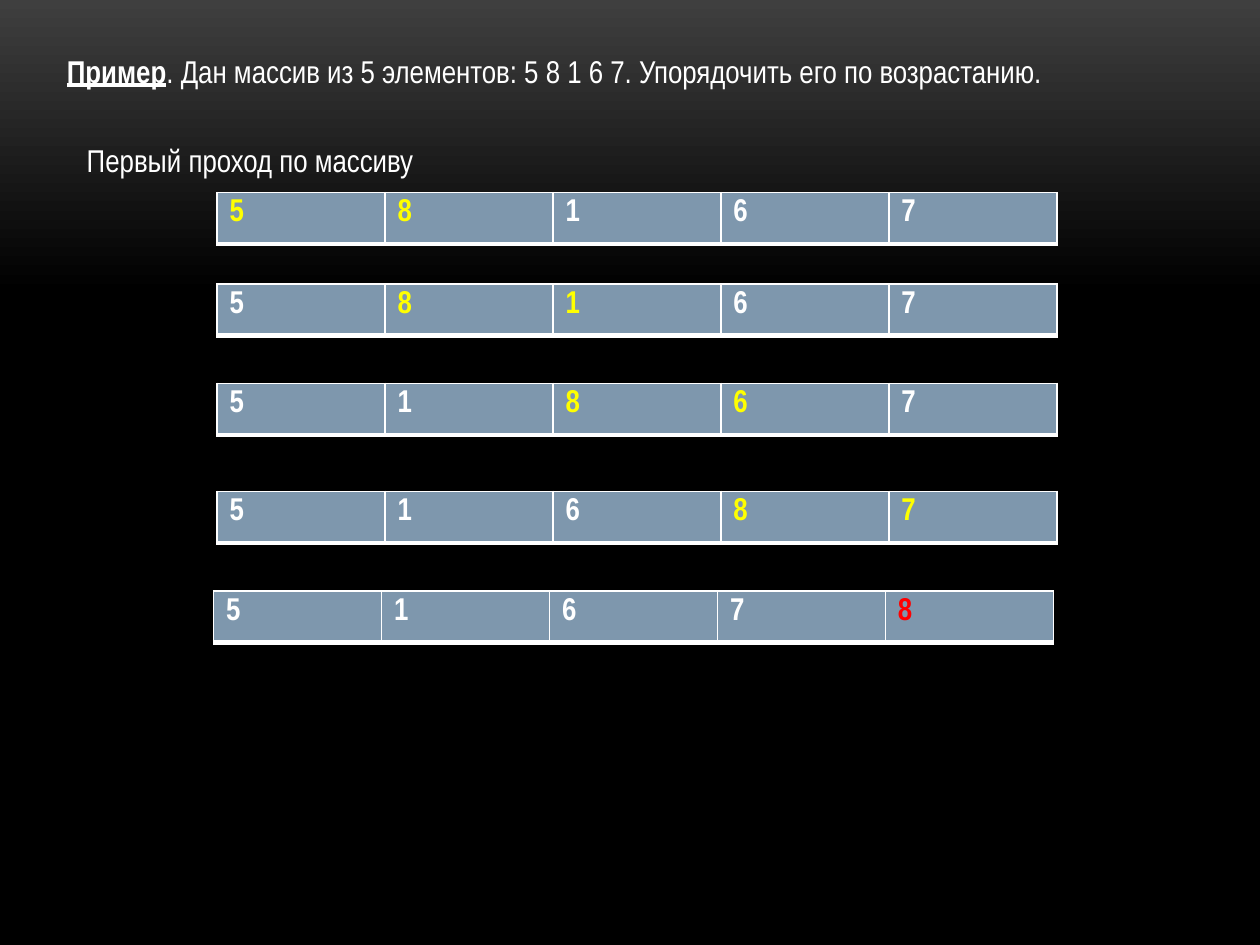
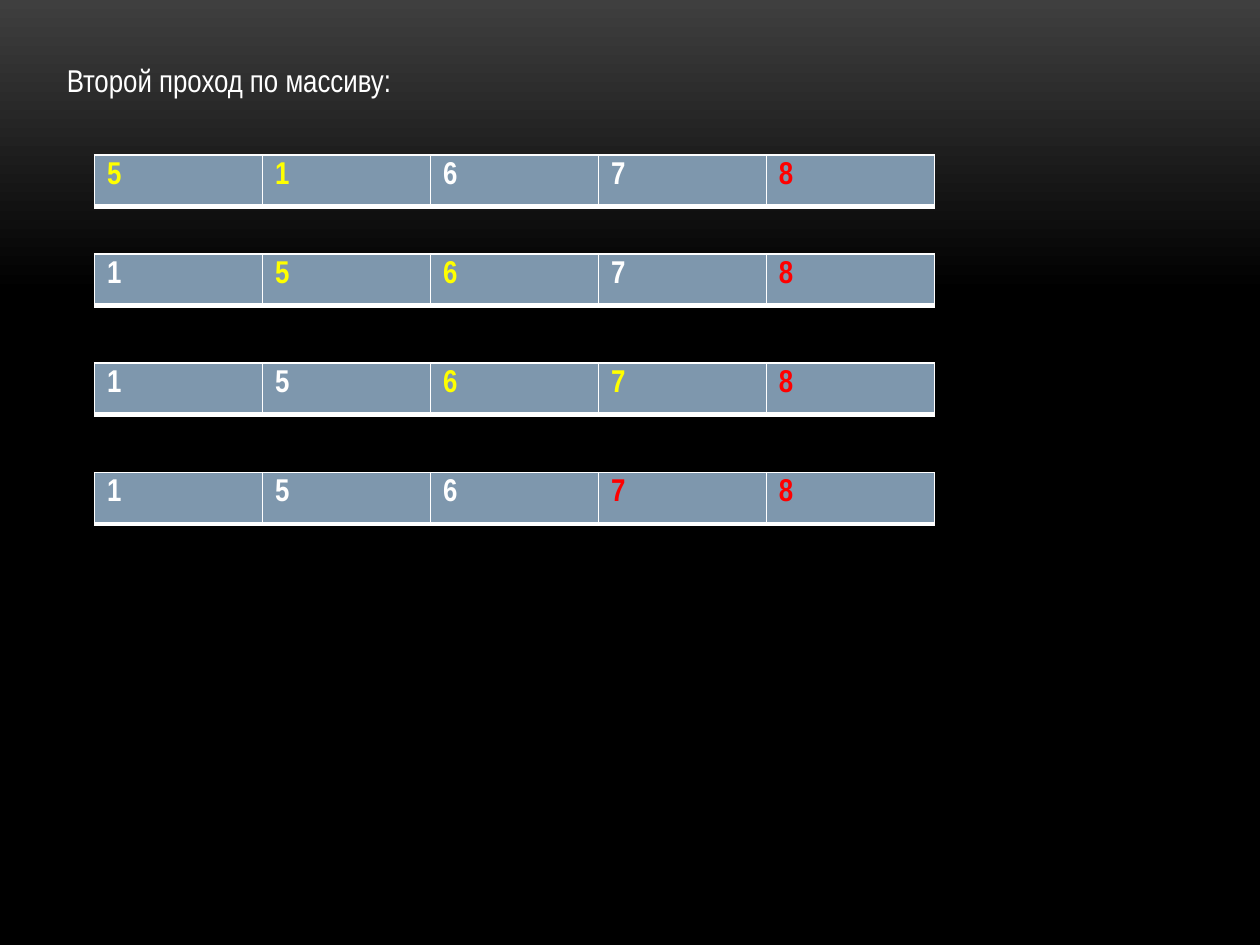
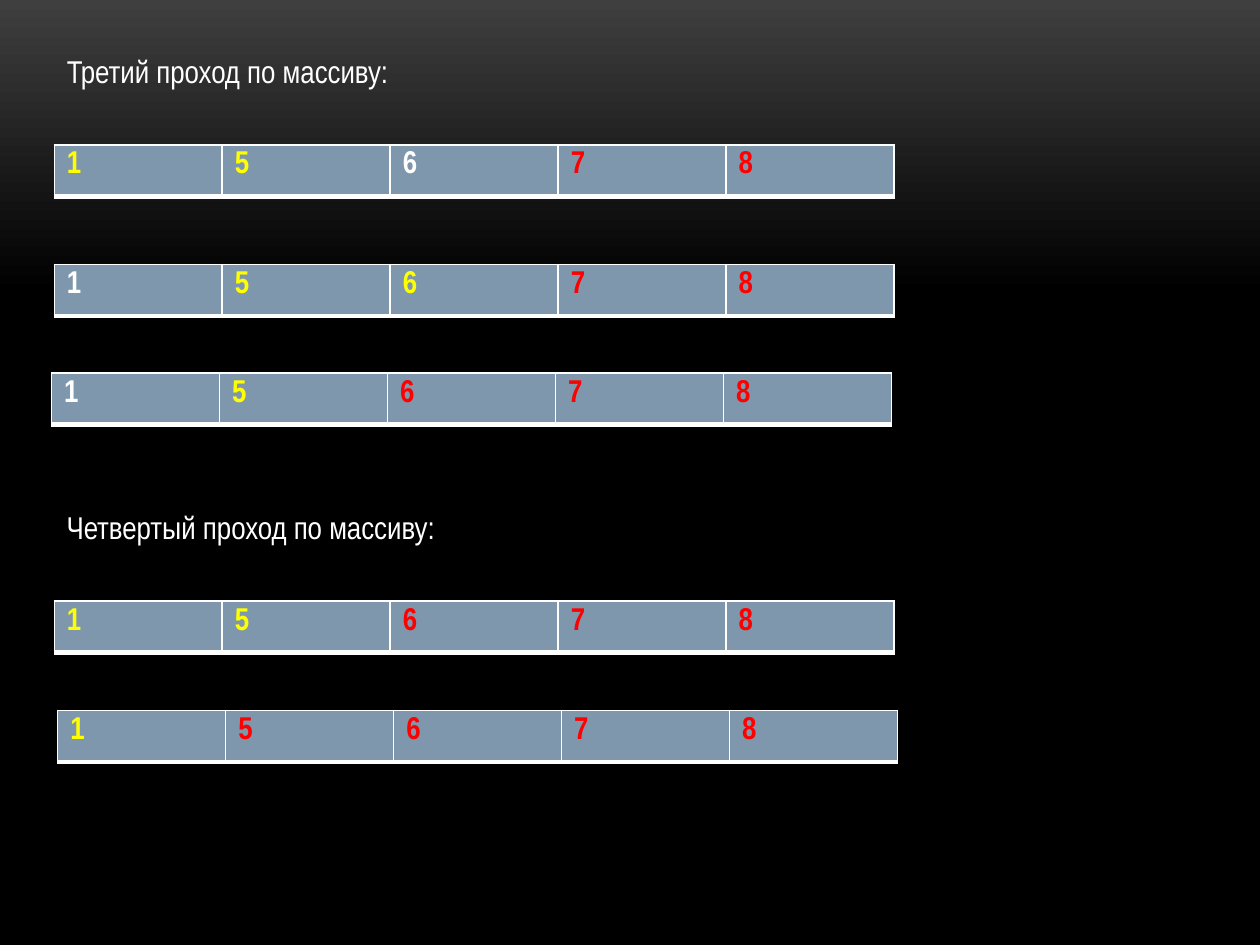
from copy import deepcopy

from lxml.etree import SubElement
from pptx import Presentation
from pptx.dml.color import RGBColor
from pptx.enum.text import MSO_ANCHOR, MSO_AUTO_SIZE, PP_ALIGN
from pptx.oxml.ns import qn
from pptx.util import Pt

FONT = "Arial Narrow"
WHITE = RGBColor(0xFF, 0xFF, 0xFF)
BLACK = RGBColor(0x00, 0x00, 0x00)
CHARCOAL = RGBColor(0x3F, 0x3F, 0x3F)
STEEL = RGBColor(0x7E, 0x97, 0xAD)
YELLOW = RGBColor(0xFF, 0xFF, 0x00)
RED = RGBColor(0xFF, 0x00, 0x00)

# Digit colours: w = untouched, y = being compared, r = already in place
MARKS = {"w": WHITE, "y": YELLOW, "r": RED}
BORDERS = {"a:lnL": 1, "a:lnR": 1, "a:lnT": 1, "a:lnB": 3}
TABLE_WIDTH, ROW_HEIGHT = 480, 29.5
TITLE_LEFT, TEXT_HEIGHT = 31, 29

# Title runs are (text, emphasised); captions are (text, left, top, width);
# arrays are (digits, marks, left, top).
SLIDES = [
    {
        "title": [("Пример", True),
                  (". Дан массив из 5 элементов: 5 8 1 6 7. "
                   "Упорядочить его по возрастанию.", False)],
        "title_top": 26, "title_width": 641,
        "captions": [("Первый проход по массиву", 42.5, 77, 595.5)],
        "arrays": [("58167", "yywww", 124, 110),
                   ("58167", "wyyww", 124, 162.25),
                   ("51867", "wwyyw", 124, 219),
                   ("51687", "wwwyy", 124, 280.75),
                   ("51678", "wwwwr", 122, 337.75)],
    },
    {
        "title": [("Второй проход по массиву:", False)],
        "title_top": 31.5, "title_width": 567,
        "captions": [],
        "arrays": [("51678", "yywwr", 54, 88.5),
                   ("15678", "wyywr", 54, 145.25),
                   ("15678", "wwyyr", 54, 207.5),
                   ("15678", "wwwrr", 54, 270)],
    },
    {
        "title": [("Третий проход по массиву:", False)],
        "title_top": 26, "title_width": 623.5,
        "captions": [("Четвертый проход по массиву:", 31, 287, 300)],
        "arrays": [("15678", "yywrr", 31, 82.75),
                   ("15678", "wyyrr", 31, 151),
                   ("15678", "wyrrr", 29.5, 213.25),
                   ("15678", "yyrrr", 31, 343.5),
                   ("15678", "yrrrr", 33, 406)],
    },
]


def write_text(shape, runs):
    """Fill a text shape with white 18 pt runs, set from its top left corner."""
    frame = shape.text_frame
    frame.word_wrap = True
    frame.auto_size = MSO_AUTO_SIZE.SHAPE_TO_FIT_TEXT
    frame.vertical_anchor = MSO_ANCHOR.TOP
    paragraph = frame.paragraphs[0]
    paragraph.alignment = PP_ALIGN.LEFT
    for text, emphasised in runs:
        run = paragraph.add_run()
        run.text = text
        run.font.name = FONT
        run.font.size = Pt(18)
        run.font.color.rgb = WHITE
        run.font.bold = emphasised
        run.font.underline = emphasised


def add_array(slide, digits, marks, left, top):
    """Add a one-row table with one coloured digit in each cell."""
    table = slide.shapes.add_table(1, len(digits), Pt(left), Pt(top),
                                   Pt(TABLE_WIDTH), Pt(ROW_HEIGHT)).table
    table.first_row = False
    table.horz_banding = False
    for cell, digit, mark in zip(table.rows[0].cells, digits, marks):
        properties = cell._tc.get_or_add_tcPr()
        for tag, width in BORDERS.items():
            line = SubElement(properties, qn(tag), w=str(Pt(width)))
            line_fill = SubElement(line, qn("a:solidFill"))
            SubElement(line_fill, qn("a:srgbClr"), val=str(WHITE))
        cell.fill.solid()
        cell.fill.fore_color.rgb = STEEL
        run = cell.text_frame.paragraphs[0].add_run()
        run.text = digit
        run.font.name = FONT
        run.font.size = Pt(18)
        run.font.bold = True
        run.font.color.rgb = MARKS[mark]


presentation = Presentation()
presentation.slide_width = Pt(720)
presentation.slide_height = Pt(540)

# Shared background: charcoal fading to black in the top third
master = presentation.slide_master
background = master.background.fill
background.gradient()
background.gradient_angle = 270
for stop, color, position in zip(background.gradient_stops,
                                 (CHARCOAL, BLACK), (0, 0.31)):
    stop.color.rgb = color
    stop.position = position
black_stop = list(master.element.iter(qn("a:gs")))[-1]
final_stop = deepcopy(black_stop)
final_stop.set("pos", "100000")
black_stop.addnext(final_stop)

title_only = presentation.slide_layouts.get_by_name("Title Only")
for content in SLIDES:
    slide = presentation.slides.add_slide(title_only)
    title = slide.shapes.title
    title.left, title.top = Pt(TITLE_LEFT), Pt(content["title_top"])
    title.width, title.height = Pt(content["title_width"]), Pt(TEXT_HEIGHT)
    write_text(title, content["title"])
    for text, left, top, width in content["captions"]:
        caption = slide.shapes.add_textbox(Pt(left), Pt(top),
                                           Pt(width), Pt(TEXT_HEIGHT))
        write_text(caption, [(text, False)])
    for digits, marks, left, top in content["arrays"]:
        add_array(slide, digits, marks, left, top)

presentation.save("out.pptx")
